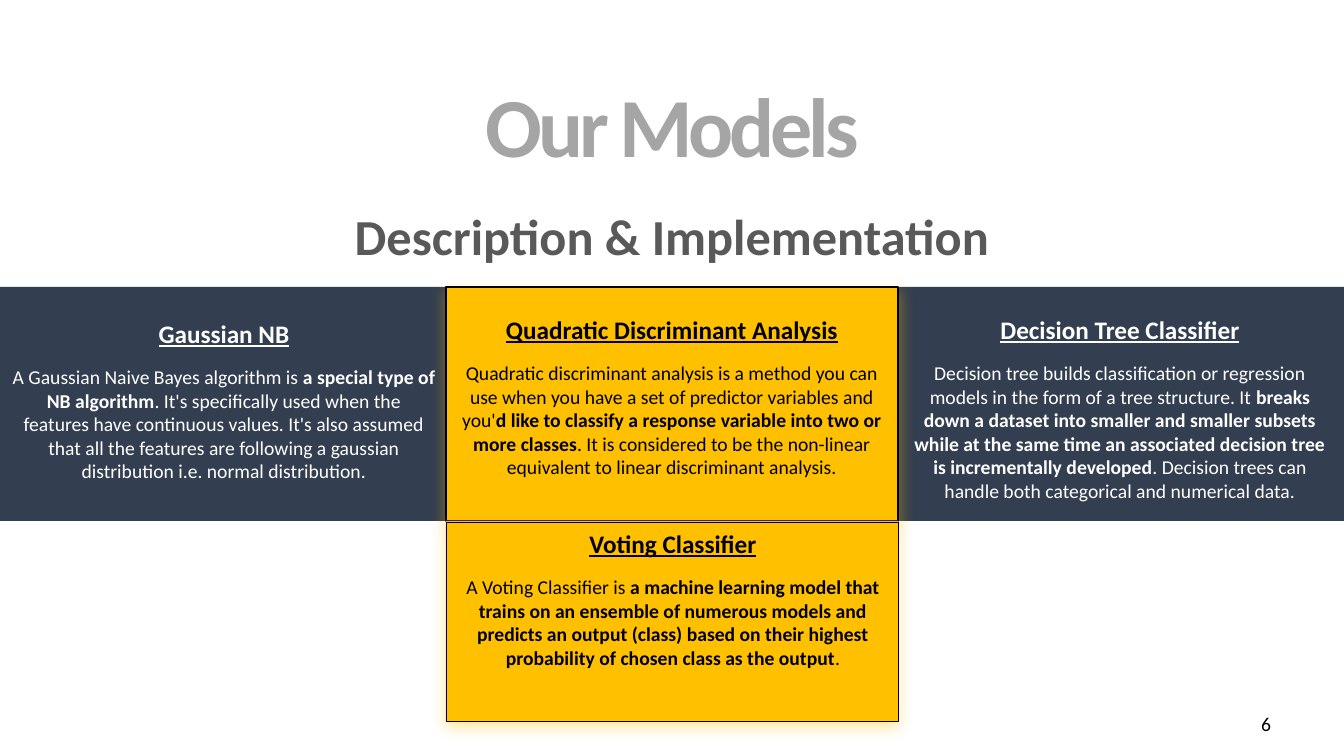
"""Build the "Our Models" slide describing four classifiers."""
import dataclasses

import lxml.etree
import pptx
import pptx.dml.color
import pptx.enum.shapes
import pptx.enum.text
import pptx.oxml.ns
import pptx.util

TITLE = ("Our Models", (338, 68, 668, 112))
SUBTITLE = ("Description & Implementation", (0, 170, 1344, 93))
PAGE_NUMBER = ("6", (968, 704, 313, 40))

BAND = (0, 287, 1344, 234)
HIGHLIGHT = (446, 287, 452, 234)
VOTING_PANEL = (446, 521, 452, 201)

MODELS = [
    {
        "heading": "Gaussian NB",
        "body": (
            "A Gaussian Naive Bayes algorithm is ",
            "a special type of NB algorithm",
            ". It's specifically used when the features have continuous values. It's also assumed "
            "that all the features are following a gaussian distribution i.e. normal distribution.",
        ),
        "box": (2, 313, 444, 176),
        "color": "light",
    },
    {
        "heading": "Decision Tree Classifier",
        "body": (
            "Decision tree builds classification or regression models in the form of a tree structure. It ",
            "breaks down a dataset into smaller and smaller subsets while at the same time an "
            "associated decision tree is incrementally developed",
            ". Decision trees can handle both categorical and numerical data.",
        ),
        "box": (897, 309, 446, 201),
        "color": "light",
    },
    {
        "heading": "Quadratic Discriminant Analysis",
        "body": (
            "Quadratic discriminant analysis is a method you can use when you have a set of "
            "predictor variables and you'",
            "d like to classify a response variable into two or more classes",
            ". It is considered to be the non-linear equivalent to linear discriminant analysis.",
        ),
        "box": (446, 309, 452, 176),
        "color": "dark",
    },
    {
        "heading": "Voting Classifier",
        "body": (
            "A Voting Classifier is ",
            "a machine learning model that trains on an ensemble of numerous models and predicts "
            "an output (class) based on their highest probability of chosen class as the output",
            ".",
        ),
        "box": (447, 523, 452, 199),
        "color": "dark",
        "outline": 0.75,
    },
]


@dataclasses.dataclass(frozen=True)
class Theme:
    font: str = "Calibri"
    navy: str = "333F50"
    gold: str = "FFC000"
    dark: str = "000000"
    light: str = "FFFFFF"
    title: str = "A5A5A5"
    subtitle: str = "595959"
    title_size: int = 60
    subtitle_size: int = 36
    heading_size: int = 18
    body_size: int = 14


THEME = Theme()
EMU_PER_PX = 914400 / 100.8
ALIGN = pptx.enum.text.PP_ALIGN
ANCHOR = pptx.enum.text.MSO_ANCHOR


def px(length):
    return pptx.util.Emu(round(length * EMU_PER_PX))


def rgb(color):
    return pptx.dml.color.RGBColor.from_string(color)


def place(box):
    return [px(length) for length in box]


def write(frame, *pieces, size, color, bold=(True,), underline=False, align=ALIGN.CENTER,
          anchor=ANCHOR.TOP, line_spacing=1.0, space_after=0, tracking=0):
    frame.word_wrap = True
    frame.auto_size = pptx.enum.text.MSO_AUTO_SIZE.NONE
    frame.vertical_anchor = anchor
    paragraph = frame.add_paragraph() if frame.text else frame.paragraphs[0]
    paragraph.alignment = align
    paragraph.line_spacing = line_spacing
    paragraph.space_before = pptx.util.Pt(0)
    paragraph.space_after = pptx.util.Pt(space_after)
    for piece, is_bold in zip(pieces, bold):
        run = paragraph.add_run()
        run.text = piece
        run.font.name = THEME.font
        run.font.size = pptx.util.Pt(size)
        run.font.bold = is_bold
        run.font.underline = underline
        run.font.color.rgb = rgb(color)
        if tracking:
            run.font._element.set("spc", str(tracking * 100))


def add_glow_shadow(shape):
    qn = pptx.oxml.ns.qn
    effects = shape._element.spPr.find(qn("a:effectLst"))
    shadow = lxml.etree.SubElement(
        effects, qn("a:outerShdw"), blurRad=str(pptx.util.Pt(11)), dist=str(pptx.util.Pt(3)),
        dir="5400000", algn="t", rotWithShape="0")
    color = lxml.etree.SubElement(shadow, qn("a:srgbClr"), val=THEME.gold)
    lxml.etree.SubElement(color, qn("a:alpha"), val="40000")


def add_panel(slide, box, fill=None, outline=0, glow=False):
    shape = slide.shapes.add_shape(pptx.enum.shapes.MSO_SHAPE.RECTANGLE, *place(box))
    if fill:
        shape.fill.solid()
        shape.fill.fore_color.rgb = rgb(fill)
    else:
        shape.fill.background()
    if outline:
        shape.line.color.rgb = rgb(THEME.dark)
        shape.line.width = pptx.util.Pt(outline)
    else:
        shape.line.fill.background()
    shape.shadow.inherit = False
    if glow:
        add_glow_shadow(shape)
    return shape


def add_model(slide, model):
    if "outline" in model:
        shape = add_panel(slide, model["box"], outline=model["outline"])
    else:
        shape = slide.shapes.add_textbox(*place(model["box"]))
    color = getattr(THEME, model["color"])
    write(shape.text_frame, model["heading"], size=THEME.heading_size, color=color,
          underline=True, space_after=12)
    write(shape.text_frame, *model["body"], size=THEME.body_size, color=color,
          bold=(False, True, False))


def main():
    presentation = pptx.Presentation()
    presentation.slide_width, presentation.slide_height = px(1344), px(756)
    slide = presentation.slides.add_slide(presentation.slide_layouts[5])

    text, box = TITLE
    title = slide.shapes.title
    title.left, title.top, title.width, title.height = place(box)
    write(title.text_frame, text, size=THEME.title_size, color=THEME.title, tracking=-3)

    add_panel(slide, BAND, THEME.navy)
    add_panel(slide, HIGHLIGHT, THEME.gold, outline=1, glow=True)
    add_panel(slide, VOTING_PANEL, THEME.gold, glow=True)

    text, box = SUBTITLE
    subtitle = slide.shapes.add_textbox(*place(box))
    write(subtitle.text_frame, text, size=THEME.subtitle_size, color=THEME.subtitle,
          line_spacing=1.5)

    for model in MODELS:
        add_model(slide, model)

    text, box = PAGE_NUMBER
    page_number = slide.shapes.add_textbox(*place(box))
    write(page_number.text_frame, text, size=THEME.body_size, color=THEME.dark, bold=(False,),
          align=ALIGN.RIGHT, anchor=ANCHOR.MIDDLE)

    presentation.save("out.pptx")


if __name__ == "__main__":
    main()
